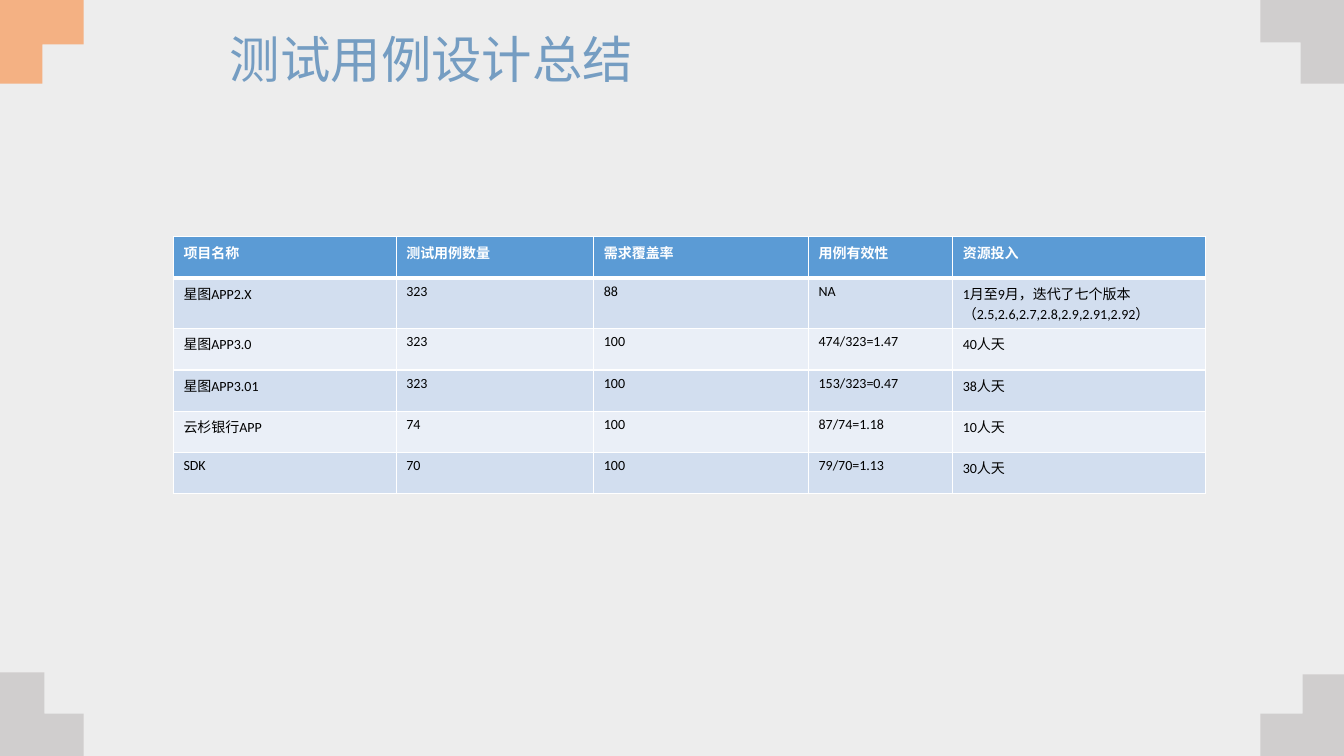
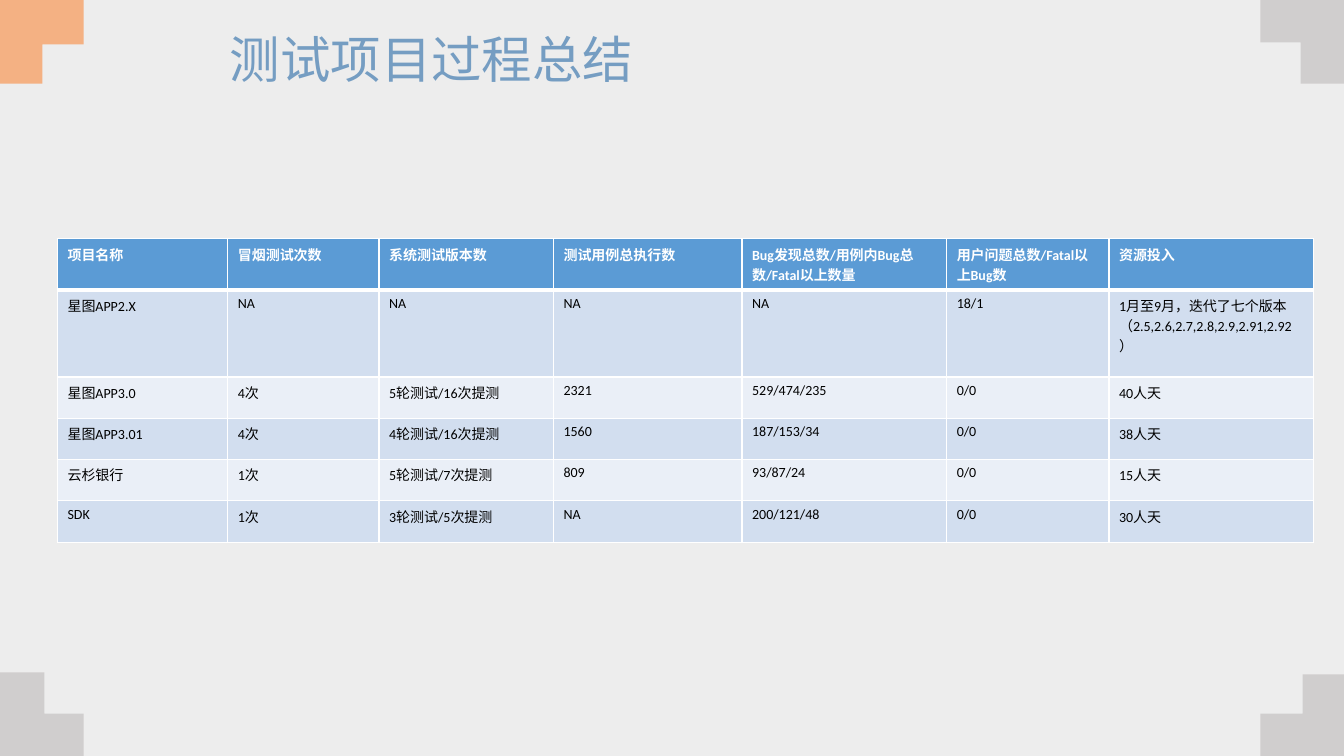
"""Builds two test summary slides, each a title above a table."""
import pptx
import pptx.dml.color
import pptx.enum.text
import pptx.oxml
import pptx.oxml.ns
import pptx.util

Inches = pptx.util.Inches
Pt = pptx.util.Pt
RGBColor = pptx.dml.color.RGBColor

PAPER = RGBColor(0xED, 0xED, 0xED)
GREY = RGBColor(0xD0, 0xCE, 0xCE)
ORANGE = RGBColor(0xF4, 0xB1, 0x83)
TITLE_BLUE = RGBColor(0x75, 0x9D, 0xC2)
HEADER_BLUE = RGBColor(0x5B, 0x9B, 0xD5)
BANDS = (RGBColor(0xEA, 0xEF, 0xF7), RGBColor(0xD2, 0xDE, 0xEF))
WHITE = RGBColor(0xFF, 0xFF, 0xFF)
BLACK = RGBColor(0x00, 0x00, 0x00)

LATIN_FONT = "Calibri"
CHINESE_FONT = "Noto Sans CJK SC"
WIDTH, HEIGHT = 13.33, 7.5
ARM = 0.83
ROW_HEIGHT = 0.41
VERSIONS = "1月至9月，迭代了七个版本（2.5,2.6,2.7,2.8,2.9,2.91,2.92）"


class SummaryDeck:
    def __init__(self):
        self.deck = pptx.Presentation()
        self.deck.slide_width = Inches(WIDTH)
        self.deck.slide_height = Inches(HEIGHT)
        self.layout = self.deck.slide_layouts[5]
        self.page = None

    def add_page(self, title):
        self.page = self.deck.slides.add_slide(self.layout)
        box = self.page.shapes.title
        box.left, box.top = Inches(2.18), Inches(0.28)
        box.width, box.height = Inches(8.98), Inches(0.67)
        frame = box.text_frame
        frame.text = title
        frame.auto_size = pptx.enum.text.MSO_AUTO_SIZE.NONE
        frame.vertical_anchor = pptx.enum.text.MSO_ANCHOR.MIDDLE
        para = frame.paragraphs[0]
        para.alignment = pptx.enum.text.PP_ALIGN.LEFT
        para.line_spacing = 0.9
        self.style_text(para, CHINESE_FONT, 36, TITLE_BLUE)

    def style_text(self, para, font_name, size, color, bold=False):
        for span in para.runs:
            span.font.name = font_name
            span.font.size = Pt(size)
            span.font.bold = bold
            span.font.color.rgb = color
            properties = span.font._element
            latin = properties.find(pptx.oxml.ns.qn("a:latin"))
            latin.addnext(pptx.oxml.parse_xml(
                f'<a:ea {pptx.oxml.ns.nsdecls("a")} typeface="{CHINESE_FONT}"/>'))

    def add_corner(self, x, y, upright, level, color):
        right = 1 if x == 0 else -1
        down = 1 if y == 0 else -1
        outline = [(ARM, 0), (ARM, level), (upright, level), (upright, ARM), (0, ARM)]
        points = [(Inches(x + right * across), Inches(y + down * along))
                  for across, along in outline]
        builder = self.page.shapes.build_freeform(Inches(x), Inches(y))
        builder.add_line_segments(points, close=True)
        corner = builder.convert_to_shape()
        corner.shadow.inherit = False
        corner.fill.solid()
        corner.fill.fore_color.rgb = color
        corner.line.fill.background()
        return corner

    def decorate_layout(self):
        fill = self.layout.background.fill
        fill.solid()
        fill.fore_color.rgb = PAPER
        tree = self.layout.shapes.element
        for holder in list(self.layout.placeholders):
            if holder.placeholder_format.idx != 0:
                tree.remove(holder.element)
        corners = [
            self.add_corner(0, HEIGHT, 0.44, 0.42, GREY),
            self.add_corner(0, 0, 0.42, 0.44, ORANGE),
            self.add_corner(WIDTH, 0, 0.43, 0.42, GREY),
            self.add_corner(WIDTH, 7.52, 0.41, 0.44, GREY),
        ]
        for corner in corners:
            tree.append(corner.element)

    def add_borders(self, cell, is_header):
        properties = cell._tc.get_or_add_tcPr()
        for side in "LRTB":
            width = Pt(3 if is_header and side == "B" else 1)
            properties.append(pptx.oxml.parse_xml(
                f'<a:ln{side} {pptx.oxml.ns.nsdecls("a")} w="{width}"><a:solidFill>'
                f'<a:srgbClr val="{WHITE}"/></a:solidFill></a:ln{side}>'))

    def add_table(self, left, top, widths, rows, tall_rows):
        heights = [tall_rows.get(index, ROW_HEIGHT) for index in range(len(rows))]
        table = self.page.shapes.add_table(
            len(rows), len(widths), Inches(left), Inches(top),
            Inches(sum(widths)), Inches(sum(heights))).table
        for column, width in zip(table.columns, widths):
            column.width = Inches(width)
        for index, (row, height, texts) in enumerate(zip(table.rows, heights, rows)):
            row.height = Inches(height)
            is_header = index == 0
            for cell, text in zip(row.cells, texts):
                self.add_borders(cell, is_header)
                cell.fill.solid()
                cell.fill.fore_color.rgb = HEADER_BLUE if is_header else BANDS[index % 2]
                cell.text_frame.text = text
                self.style_text(cell.text_frame.paragraphs[0], LATIN_FONT, 10,
                                WHITE if is_header else BLACK, is_header)


def main():
    summary = SummaryDeck()

    summary.add_page("测试用例设计总结")
    summary.decorate_layout()
    summary.add_table(1.72, 2.35, [2.21, 1.96, 2.13, 1.43, 2.51], [
        ["项目名称", "测试用例数量", "需求覆盖率", "用例有效性", "资源投入"],
        ["星图APP2.X", "323", "88", "NA", VERSIONS],
        ["星图APP3.0", "323", "100", "474/323=1.47", "40人天"],
        ["星图APP3.01", "323", "100", "153/323=0.47", "38人天"],
        ["云杉银行APP", "74", "100", "87/74=1.18", "10人天"],
        ["SDK", "70", "100", "79/70=1.13", "30人天"],
    ], {1: 0.5})

    summary.add_page("测试项目过程总结")
    summary.add_table(0.57, 2.37, [1.69, 1.5, 1.73, 1.87, 2.03, 1.61, 2.03], [
        ["项目名称", "冒烟测试次数", "系统测试版本数", "测试用例总执行数",
         "Bug发现总数/用例内Bug总数/Fatal以上数量", "用户问题总数/Fatal以上Bug数", "资源投入"],
        ["星图APP2.X", "NA", "NA", "NA", "NA", "18/1", VERSIONS],
        ["星图APP3.0", "4次", "5轮测试/16次提测", "2321", "529/474/235", "0/0", "40人天"],
        ["星图APP3.01", "4次", "4轮测试/16次提测", "1560", "187/153/34", "0/0", "38人天"],
        ["云杉银行", "1次", "5轮测试/7次提测", "809", "93/87/24", "0/0", "15人天"],
        ["SDK", "1次", "3轮测试/5次提测", "NA", "200/121/48", "0/0", "30人天"],
    ], {0: 0.51, 1: 0.86})

    summary.deck.save("out.pptx")


if __name__ == "__main__":
    main()
